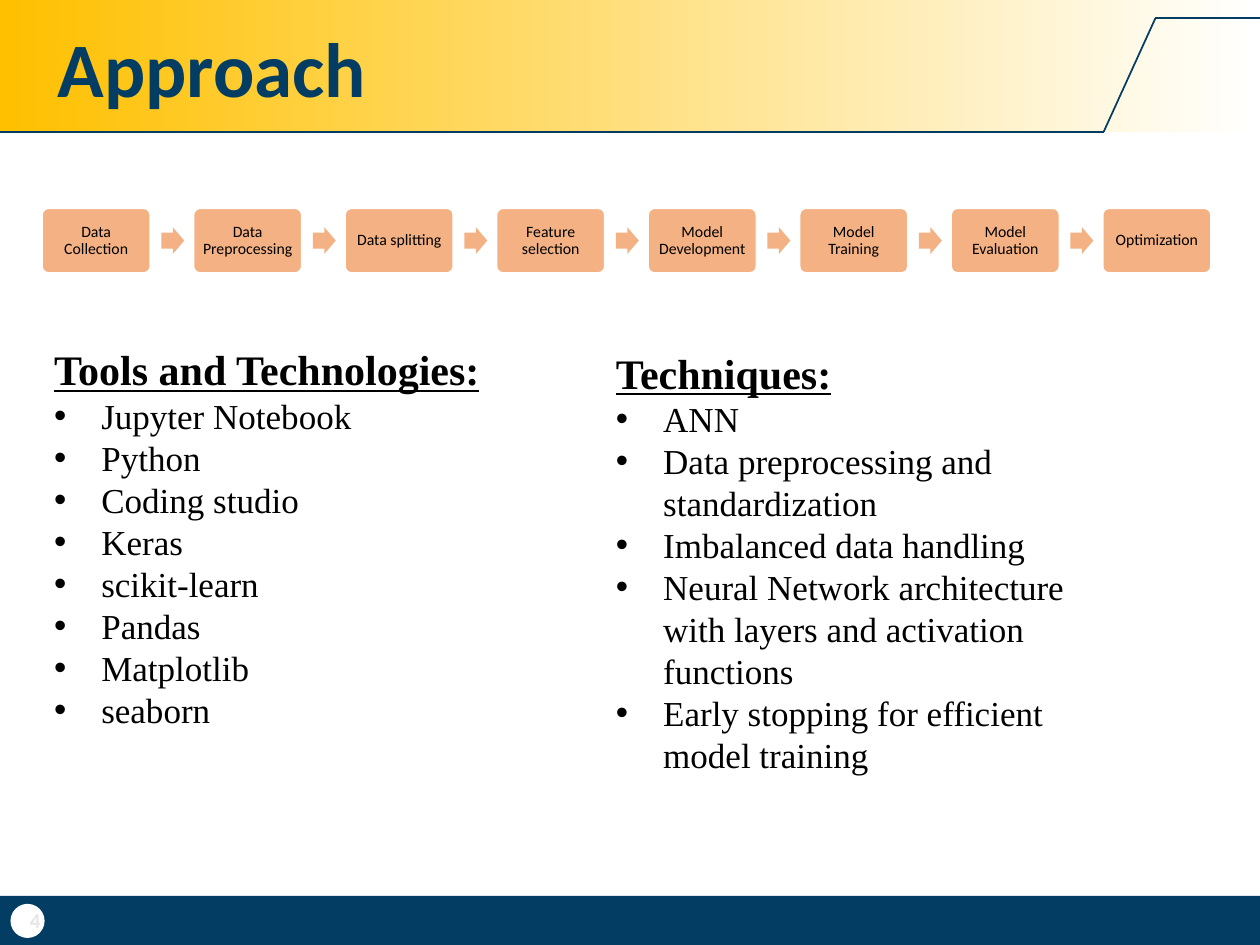
import pptx
import pptx.util
import pptx.dml.color
import pptx.enum.shapes
import pptx.enum.text
import lxml.etree
from pptx.oxml.ns import qn

Pt = pptx.util.Pt
RGBColor = pptx.dml.color.RGBColor
SHAPE = pptx.enum.shapes.MSO_SHAPE
ALIGN = pptx.enum.text.PP_ALIGN
ANCHOR = pptx.enum.text.MSO_ANCHOR

NAVY = RGBColor(0x04, 0x3D, 0x63)
GOLD = RGBColor(0xFF, 0xC0, 0x00)
WHITE = RGBColor(0xFF, 0xFF, 0xFF)
PEACH = RGBColor(0xF4, 0xB1, 0x83)
PALE_GREY = RGBColor(0xE6, 0xE6, 0xE6)
BLACK = RGBColor(0x00, 0x00, 0x00)

STEPS = ["Data Collection", "Data Preprocessing", "Data splitting", "Feature selection",
         "Model Development", "Model Training", "Model Evaluation", "Optimization"]
TOOLS = ["Jupyter Notebook", "Python", "Coding studio", "Keras", "scikit-learn",
         "Pandas", "Matplotlib", "seaborn"]
TECHNIQUES = ["ANN", "Data preprocessing and standardization", "Imbalanced data handling",
              "Neural Network architecture with layers and activation functions",
              "Early stopping for efficient model training"]


def add_block(slide, kind, left, top, width, height, color=None):
    block = slide.shapes.add_shape(kind, Pt(left), Pt(top), Pt(width), Pt(height))
    block.shadow.inherit = False
    block.line.fill.background()
    if color is not None:
        block.fill.solid()
        block.fill.fore_color.rgb = color
    return block


def add_rule(slide, start, end):
    rule = slide.shapes.add_connector(
        pptx.enum.shapes.MSO_CONNECTOR.STRAIGHT, *(Pt(value) for value in (*start, *end)))
    rule.line.color.rgb = NAVY
    rule.line.width = Pt(1)
    lxml.etree.SubElement(rule._element.spPr, qn("a:effectLst"))


def add_frame(slide, left, top, width, height, anchor=ANCHOR.TOP):
    frame = slide.shapes.add_textbox(Pt(left), Pt(top), Pt(width), Pt(height)).text_frame
    frame.word_wrap = True
    frame.vertical_anchor = anchor
    return frame


def add_words(paragraph, words, size, color, font="Calibri", bold=False, underline=False):
    run = paragraph.add_run()
    run.text = words
    run.font.name = font
    run.font.size = Pt(size)
    run.font.color.rgb = color
    run.font.bold = bold
    run.font.underline = underline


def add_header(slide, title, left, top, width, height):
    band = add_block(slide, SHAPE.RECTANGLE, left, top, width, height)
    band.fill.gradient()
    band.fill.gradient_angle = 0
    for stop, color, position in zip(band.fill.gradient_stops, (GOLD, WHITE), (0, 1)):
        stop.color.rgb = color
        stop.position = position

    bottom = top + height
    corners = [(left, bottom), (left + 630.7, bottom), (left + 660.2, top + 10.5),
               (left + width, top + 10.5)]
    for start, end in zip(corners, corners[1:]):
        add_rule(slide, start, end)

    heading = add_frame(slide, left + 25.9, top + 7.9, 645, height - 7.9, ANCHOR.MIDDLE)
    heading.paragraphs[0].line_spacing = 0.9
    add_words(heading.paragraphs[0], title, 44, NAVY, bold=True)


def add_footer(slide, number, left, top, width, height):
    add_block(slide, SHAPE.RECTANGLE, left, top, width, height, NAVY)
    add_block(slide, SHAPE.OVAL, left + 6, top + 4.5, 19.5, 19.5, WHITE)
    page = add_frame(slide, left, top - 1.5, 30.2, 31, ANCHOR.MIDDLE).paragraphs[0]
    page.alignment = ALIGN.RIGHT
    page.space_after = Pt(6)
    add_words(page, number, 12, PALE_GREY, bold=True)


def add_process(slide, steps, left, top, width, height):
    step_width, arrow_width, arrow_height = 61.9, 13.1, 15.3
    pitch = (width - step_width) / (len(steps) - 1)
    for index, label in enumerate(steps):
        step_left = left + index * pitch
        step = add_block(slide, SHAPE.ROUNDED_RECTANGLE, step_left, top,
                         step_width, height, PEACH)
        step.adjustments[0] = 0.1
        step.line.color.rgb = WHITE
        step.line.width = Pt(1)
        frame = step.text_frame
        frame.word_wrap = True
        frame.vertical_anchor = ANCHOR.MIDDLE
        frame.margin_left = frame.margin_right = Pt(4)
        frame.margin_top = frame.margin_bottom = Pt(4)
        frame.paragraphs[0].alignment = ALIGN.CENTER
        frame.paragraphs[0].line_spacing = 0.9
        add_words(frame.paragraphs[0], label, 9, BLACK)
        if index < len(steps) - 1:
            arrow = add_block(slide, SHAPE.RIGHT_ARROW, step_left + 68.2,
                              top + (height - arrow_height) / 2,
                              arrow_width, arrow_height, PEACH)
            arrow.adjustments[0] = 0.6
            arrow.adjustments[1] = 0.5


def add_bullet_list(slide, heading, items, left, top, width, height):
    frame = add_frame(slide, left, top, width, height)
    add_words(frame.paragraphs[0], heading, 24, BLACK, "Times New Roman", True, True)
    for item in items:
        paragraph = frame.add_paragraph()
        properties = paragraph._p.get_or_add_pPr()
        properties.set("marL", str(Pt(27)))
        properties.set("indent", str(Pt(-27)))
        lxml.etree.SubElement(properties, qn("a:buFont"), typeface="Arial")
        lxml.etree.SubElement(properties, qn("a:buChar"), char="•")
        add_words(paragraph, item, 20, BLACK, "Times New Roman")


def main():
    presentation = pptx.Presentation()
    presentation.slide_width = Pt(720)
    presentation.slide_height = Pt(540)
    slide = presentation.slides.add_slide(presentation.slide_layouts[6])
    add_header(slide, "Approach", 0, 0, 720, 75.3)
    add_footer(slide, "4", 0, 512, 720, 28)
    add_process(slide, STEPS, 24, 119, 668, 37)
    add_bullet_list(slide, "Tools and Technologies:", TOOLS, 23.8, 193, 294, 254)
    add_bullet_list(slide, "Techniques:", TECHNIQUES, 344.9, 195, 294, 279)
    presentation.save("out.pptx")


if __name__ == "__main__":
    main()
